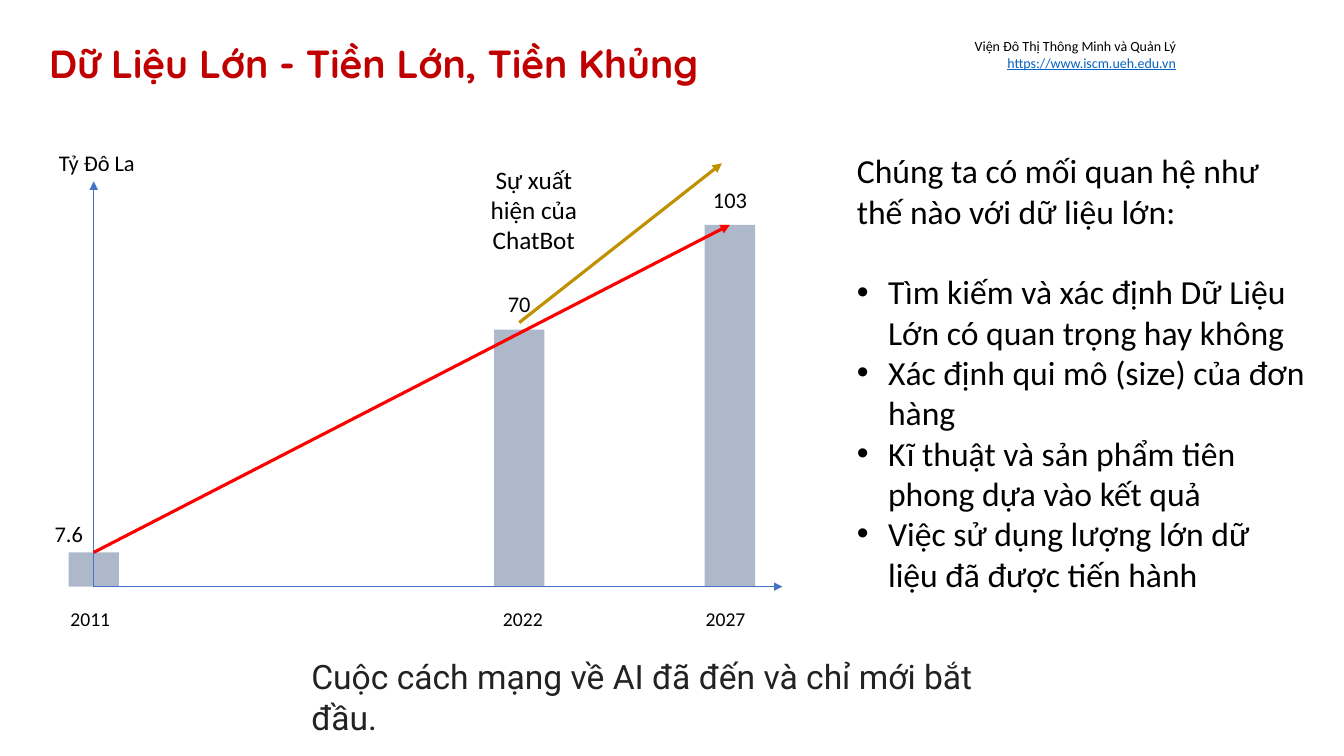
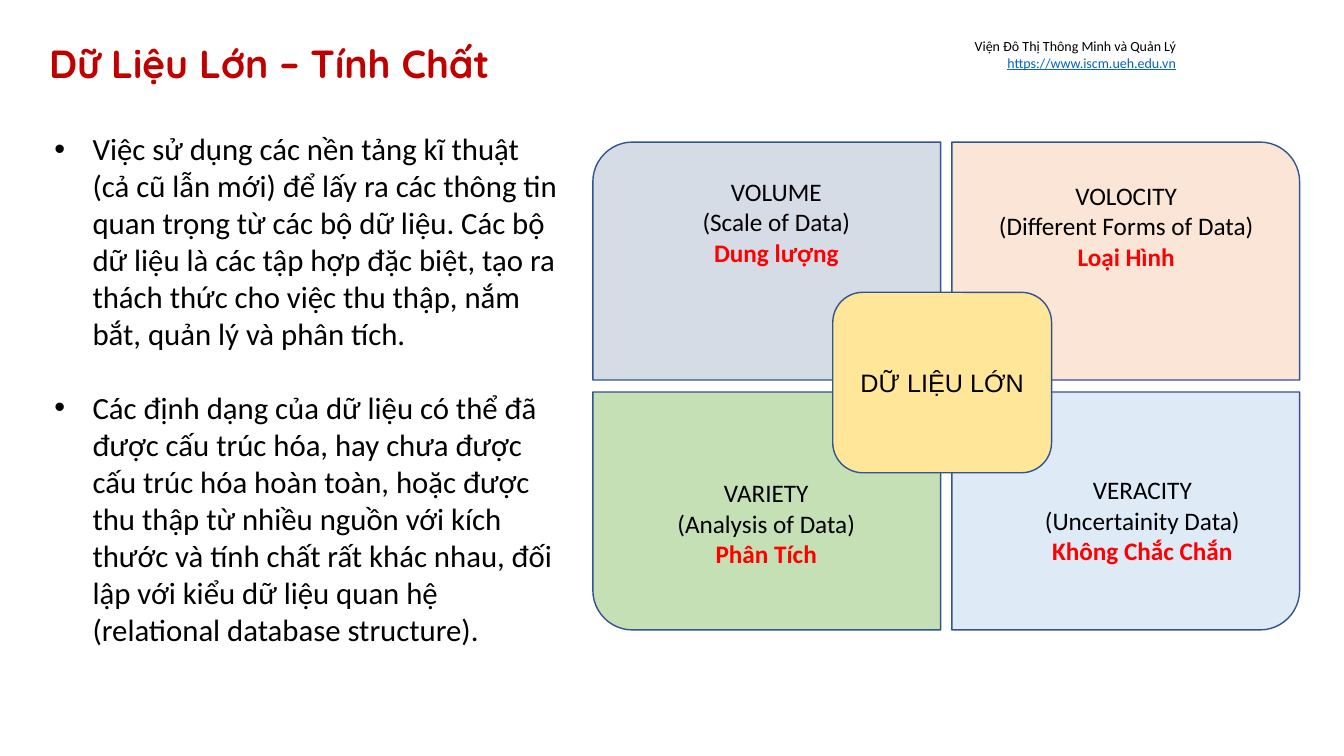
from lxml.etree import SubElement
from pptx import Presentation
from pptx.dml.color import RGBColor
from pptx.enum.shapes import MSO_CONNECTOR, MSO_SHAPE
from pptx.enum.text import MSO_ANCHOR, MSO_AUTO_SIZE, PP_ALIGN
from pptx.oxml.ns import qn
from pptx.util import Inches, Pt

COLORS = {
    "title": "C00000", "text": "000000", "link": "0563C1", "slogan": "222222",
    "accent": "FF0000", "axis": "4472C4", "gold": "BF9000", "bar": "ADB9CA",
    "outline": "325491", "volume": "D6DCE5", "velocity": "FBE5D6",
    "variety": "C5E0B4", "veracity": "DEEBF7", "center": "FFE699",
}
BASELINE = 5.82
BAR_WIDTH = 0.5


def rgb(name):
    return RGBColor.from_string(COLORS[name])


def inches(*lengths):
    return [Inches(length) for length in lengths]


def style(font, size, color="text", name="Calibri", bold=False):
    font.size, font.name, font.bold = Pt(size), name, bold
    font.color.rgb = rgb(color)


def add_text(slide, place, lines, size, align=PP_ALIGN.LEFT, **font):
    """Add a wrapping text box with one paragraph per line."""
    box = slide.shapes.add_textbox(*inches(*place))
    frame = box.text_frame
    frame.word_wrap = True
    frame.auto_size = MSO_AUTO_SIZE.SHAPE_TO_FIT_TEXT
    frame.text = "\n".join(lines)
    for para in frame.paragraphs:
        para.alignment = align
        style(para.font, size, **font)
    return frame


def add_bullet(para, indent):
    properties = para._p.get_or_add_pPr()
    properties.set("marL", str(Inches(indent)))
    properties.set("indent", str(-Inches(indent)))
    font = SubElement(properties, qn("a:buFont"))
    font.set("typeface", "Arial")
    SubElement(properties, qn("a:buChar")).set("char", "•")


def add_bulleted_text(slide, place, lines, size, indent, gap, intro=None):
    """Add bullets, with the gap in points before the second paragraph."""
    box = slide.shapes.add_textbox(*inches(*place))
    frame = box.text_frame
    frame.word_wrap = True
    frame.auto_size = MSO_AUTO_SIZE.SHAPE_TO_FIT_TEXT
    texts = ([intro] if intro else []) + lines
    frame.text = "\n".join(texts)
    for index, para in enumerate(frame.paragraphs):
        if index or not intro:
            add_bullet(para, indent)
        if index == 1:
            para.space_before = Pt(gap)
        style(para.font, size)


def add_block(slide, kind, place, fill, outline=None):
    block = slide.shapes.add_shape(kind, *inches(*place))
    block.shadow.inherit = False
    block.fill.solid()
    block.fill.fore_color.rgb = rgb(fill)
    if outline:
        block.line.color.rgb = rgb(outline)
        block.line.width = Pt(1)
    else:
        block.line.fill.background()
    return block


def add_arrow(slide, start, end, color, width):
    arrow = slide.shapes.add_connector(
        MSO_CONNECTOR.STRAIGHT, *inches(*start, *end))
    arrow.line.color.rgb = rgb(color)
    arrow.line.width = Pt(width)
    SubElement(arrow.line._get_or_add_ln(), qn("a:tailEnd")).set("type", "triangle")
    SubElement(arrow._element.spPr, qn("a:effectLst"))
    return arrow


def add_page(deck, title):
    """Add a slide with the shared title and institute header."""
    page = deck.slides.add_slide(deck.slide_layouts[6])
    frame = add_text(page, (0.39, 0.32, 12.56, 0.64), [title], 28,
                     color="title", name="Quicksand", bold=True)
    frame.auto_size = MSO_AUTO_SIZE.NONE
    frame.vertical_anchor = MSO_ANCHOR.BOTTOM
    frame.margin_top = frame.margin_bottom = Inches(0.1)
    frame.paragraphs[0].line_spacing = 0.9
    header = add_text(
        page, (9.44, 0.32, 2.32, 0.44),
        ["Viện Đô Thị Thông Minh và Quản Lý", "https://www.iscm.ueh.edu.vn"],
        10, PP_ALIGN.RIGHT)
    link = header.paragraphs[1].font
    link.color.rgb = rgb("link")
    link.underline = True
    return page


def add_growth_chart(page):
    # bar left and height, year and its place, value, its place and alignment
    bars = [
        (0.68, 0.34, "2011", 0.6, "7.6", (0.23, 5.11, 0.69, 0.37), PP_ALIGN.RIGHT),
        (4.9, 2.55, "2022", 4.89, "70", (4.58, 2.83, 1.14, 0.37), PP_ALIGN.CENTER),
        (6.99, 3.59, "2027", 6.9, "103", (6.67, 1.8, 1.14, 0.37), PP_ALIGN.CENTER),
    ]
    blocks = []
    for left, height, year, year_left, value, value_place, align in bars:
        blocks.append(add_block(page, MSO_SHAPE.RECTANGLE,
                                (left, BASELINE - height, BAR_WIDTH, height), "bar"))
        add_text(page, (year_left, 5.97, 0.69, 0.34), [year], 14)
        add_text(page, value_place, [value], 16, align)

    origin = (0.93, BASELINE)
    for end in [(7.76, BASELINE), (0.93, 1.8)]:
        axis = add_arrow(page, origin, end, "axis", 0.5)
        axis.begin_connect(blocks[0], 2)
    trend = add_arrow(page, (0.93, 5.48), (7.24, 2.23), "accent", 2.25)
    trend.begin_connect(blocks[0], 0)
    trend.end_connect(blocks[-1], 0)
    add_arrow(page, (5.15, 3.2), (7.16, 1.62), "gold", 2.25)

    add_text(page, (0.39, 1.43, 1.14, 0.37), ["Tỷ Đô La"], 16, PP_ALIGN.CENTER)
    add_text(page, (4.68, 1.58, 1.23, 1.01), ["Sự xuất hiện của ChatBot"], 18,
             PP_ALIGN.CENTER)


def add_data_quadrants(page):
    left, top, width, height = 5.88, 1.41, 3.45, 2.36
    column_step, row_step = 3.56, 2.48
    # column, row, fill, label place, label lines
    quadrants = [
        (0, 0, "volume", (6.36, 1.7, 2.68, 1.18),
         ["VOLUME", "(Scale of Data)", "Dung lượng"]),
        (1, 0, "velocity", (9.65, 1.74, 3.04, 1.01),
         ["VOLOCITY", "(Different Forms of Data)", "Loại Hình"]),
        (0, 1, "variety", (6.26, 4.69, 2.68, 1.18),
         ["VARIETY", "(Analysis of Data)", "Phân Tích"]),
        (1, 1, "veracity", (9.99, 4.66, 2.68, 1.18),
         ["VERACITY", "(Uncertainity Data)", "Không Chắc Chắn"]),
    ]
    for column, row, fill, _, _ in quadrants:
        place = (left + column * column_step, top + row * row_step, width, height)
        block = add_block(page, MSO_SHAPE.ROUND_1_RECTANGLE, place, fill, "outline")
        # The rounded corner points away from the centre
        if column == 0:
            block._element.spPr.xfrm.set("flipH", "1")
        if row == 1:
            block._element.spPr.xfrm.set("flipV", "1")

    center = add_block(page, MSO_SHAPE.ROUNDED_RECTANGLE,
                       (8.26, 2.9, 2.17, 1.79), "center", "outline")
    center.text_frame.text = "DỮ LIỆU LỚN"
    center.text_frame.vertical_anchor = MSO_ANCHOR.MIDDLE
    para = center.text_frame.paragraphs[0]
    para.alignment = PP_ALIGN.CENTER
    style(para.font, 18, name="Arial")

    for _, _, _, place, lines in quadrants:
        label = add_text(page, place, lines, 18, PP_ALIGN.CENTER)
        style(label.paragraphs[-1].font, 18, "accent", bold=True)


def build_growth_slide(deck):
    page = add_page(deck, "Dữ Liệu Lớn - Tiền Lớn, Tiền Khủng")
    add_growth_chart(page)
    add_bulleted_text(
        page, (8.4, 1.44, 4.65, 4.54),
        ["Tìm kiếm và xác định Dữ Liệu Lớn có quan trọng hay không",
         "Xác định qui mô (size) của đơn hàng",
         "Kĩ thuật và sản phẩm tiên phong dựa vào kết quả",
         "Việc sử dụng lượng lớn dữ liệu đã được tiến hành"],
        24, indent=0.31, gap=29,
        intro="Chúng ta có mối quan hệ như thế nào với dữ liệu lớn:")
    add_text(page, (2.99, 6.46, 7.43, 0.5),
             ["Cuộc cách mạng về AI đã đến và chỉ mới bắt đầu."], 24,
             color="slogan", name="Roboto")


def build_properties_slide(deck):
    page = add_page(deck, "Dữ Liệu Lớn – Tính Chất")
    add_data_quadrants(page)
    add_bulleted_text(
        page, (0.44, 1.24, 5.24, 5.28),
        ["Việc sử dụng các nền tảng kĩ thuật (cả cũ lẫn mới) để lấy ra các "
         "thông tin quan trọng từ các bộ dữ liệu. Các bộ dữ liệu là các tập hợp "
         "đặc biệt, tạo ra thách thức cho việc thu thập, nắm bắt, quản lý và "
         "phân tích.",
         "Các định dạng của dữ liệu có thể đã được cấu trúc hóa, hay chưa được "
         "cấu trúc hóa hoàn toàn, hoặc được thu thập từ nhiều nguồn với kích "
         "thước và tính chất rất khác nhau, đối lập với kiểu dữ liệu quan hệ "
         "(relational database structure)."],
        22, indent=0.38, gap=26.5)


def main():
    deck = Presentation()
    deck.slide_width, deck.slide_height = inches(13.33, 7.5)
    build_growth_slide(deck)
    build_properties_slide(deck)
    deck.save("out.pptx")


if __name__ == "__main__":
    main()
